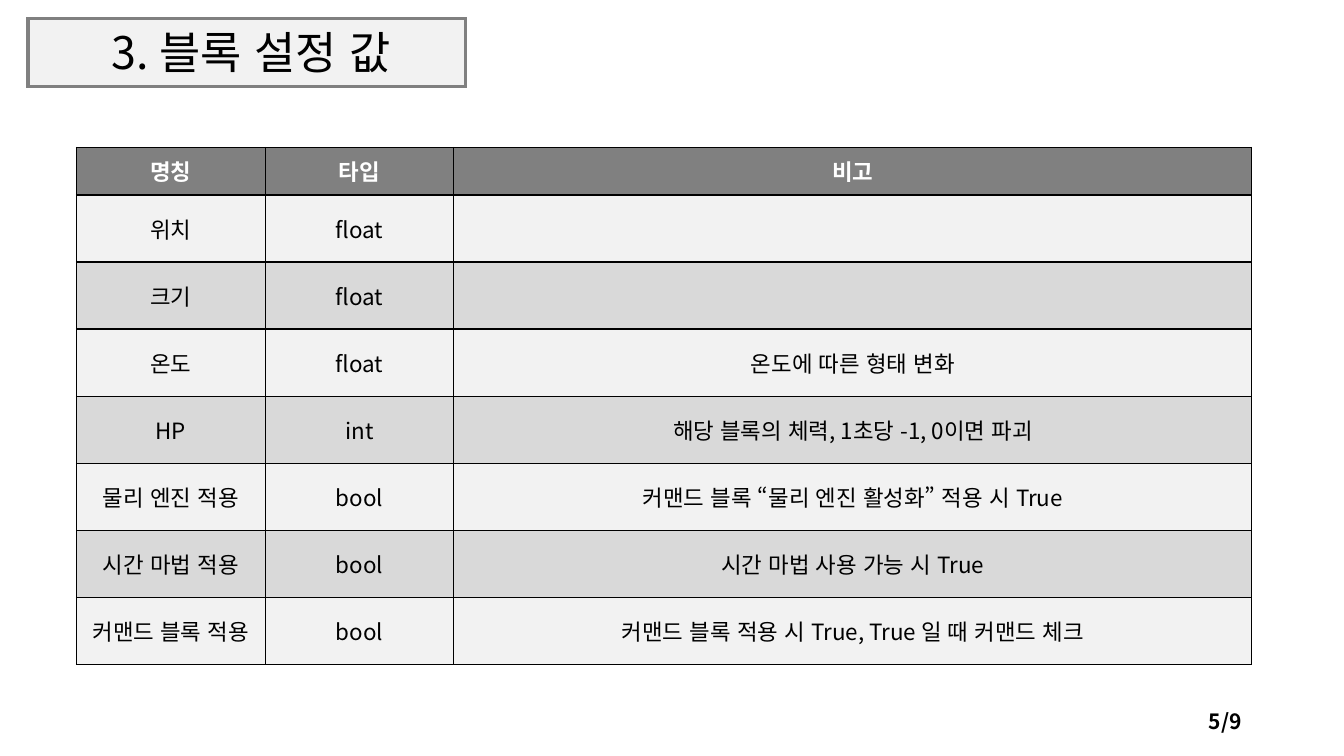
from lxml import etree
from pptx import Presentation
from pptx.dml.color import RGBColor
from pptx.enum.lang import MSO_LANGUAGE_ID
from pptx.enum.shapes import MSO_SHAPE
from pptx.enum.text import MSO_ANCHOR, PP_ALIGN
from pptx.oxml.ns import qn
from pptx.util import Pt

RECTANGLE = MSO_SHAPE.RECTANGLE
MIDDLE, BOTTOM = MSO_ANCHOR.MIDDLE, MSO_ANCHOR.BOTTOM
CENTER, RIGHT = PP_ALIGN.CENTER, PP_ALIGN.RIGHT
KOREAN = MSO_LANGUAGE_ID.KOREAN
FONT = "Noto Sans CJK KR"
BLACK, WHITE, GRAY, LIGHT, BAND = "000000", "FFFFFF", "808080", "F2F2F2", "D9D9D9"
BORDER_SIDES = ("a:lnL", "a:lnR", "a:lnT", "a:lnB")


def paint(color_format, color):
    color_format.rgb = RGBColor.from_string(color)


def write(frame, text, size, color, bold, align):
    paragraph = frame.paragraphs[0]
    paragraph.alignment = align
    run = paragraph.add_run()
    run.text = text
    font_format = {"name": FONT, "size": Pt(size), "bold": bold, "language_id": KOREAN}
    for key, value in font_format.items():
        setattr(run.font, key, value)
    paint(run.font.color, color)


prs = Presentation()
prs.slide_width, prs.slide_height = Pt(960), Pt(540)
slide = prs.slides.add_slide(prs.slide_layouts[5])

heading_frame = slide.shapes.add_shape(RECTANGLE, Pt(20), Pt(13.5), Pt(312.5), Pt(48.5))
heading_frame.shadow.inherit = False
heading_frame.fill.solid()
paint(heading_frame.fill.fore_color, LIGHT)
paint(heading_frame.line.color, GRAY)
heading_frame.line.width = Pt(2.25)
for outline in heading_frame.element.iter(qn("a:ln")):
    etree.SubElement(outline, qn("a:miter"), lim="800000")

heading = slide.shapes.title
heading_place = {"left": Pt(30), "top": Pt(13), "width": Pt(299), "height": Pt(47)}
for key, value in heading_place.items():
    setattr(heading, key, value)
heading.text_frame.vertical_anchor = BOTTOM
write(heading.text_frame, "3. 블록 설정 값", 32, BLACK, False, CENTER)
heading.text_frame.paragraphs[0].line_spacing = 0.9
heading_frame.element.addnext(heading.element)

page_number = slide.shapes.add_textbox(Pt(678), Pt(500.5), Pt(216), Pt(28.8))
page_number.text_frame.word_wrap = True
page_number.text_frame.vertical_anchor = MIDDLE
write(page_number.text_frame, "5/9", 15, BLACK, True, RIGHT)

settings = [
    ("명칭", "타입", "비고"),
    ("위치", "float", ""),
    ("크기", "float", ""),
    ("온도", "float", "온도에 따른 형태 변화"),
    ("HP", "int", "해당 블록의 체력, 1초당 -1, 0이면 파괴"),
    ("물리 엔진 적용", "bool", "커맨드 블록 “물리 엔진 활성화” 적용 시 True"),
    ("시간 마법 적용", "bool", "시간 마법 사용 가능 시 True"),
    ("커맨드 블록 적용", "bool", "커맨드 블록 적용 시 True, True 일 때 커맨드 체크"),
]
column_widths = [134.8, 134.8, 570]
row_heights = [34] + [47.9] * (len(settings) - 1)
settings_table = slide.shapes.add_table(
    len(settings), len(column_widths), Pt(54.6), Pt(105.3),
    Pt(sum(column_widths)), Pt(sum(row_heights)),
).table
for column, width in zip(settings_table.columns, column_widths):
    column.width = Pt(width)

for index, (row, height, entries) in enumerate(zip(settings_table.rows, row_heights, settings)):
    row.height = Pt(height)
    is_header = index == 0
    text_color = WHITE if is_header else BLACK
    row_fill = GRAY if is_header else (BAND, LIGHT)[index % 2]
    for cell, entry in zip(row.cells, entries):
        cell.vertical_anchor = MIDDLE
        cell.fill.solid()
        paint(cell.fill.fore_color, row_fill)
        if entry:
            write(cell.text_frame, entry, 16, text_color, is_header, CENTER)

for cell_properties in slide.element.iter(qn("a:tcPr")):
    for position, side in enumerate(BORDER_SIDES):
        border = etree.Element(qn(side), w=str(Pt(1)))
        border_fill = etree.SubElement(border, qn("a:solidFill"))
        etree.SubElement(border_fill, qn("a:srgbClr"), val=BLACK)
        cell_properties.insert(position, border)

for latin in slide.element.iter(qn("a:latin")):
    latin.addnext(etree.Element(qn("a:ea"), typeface=FONT))

prs.save("out.pptx")
